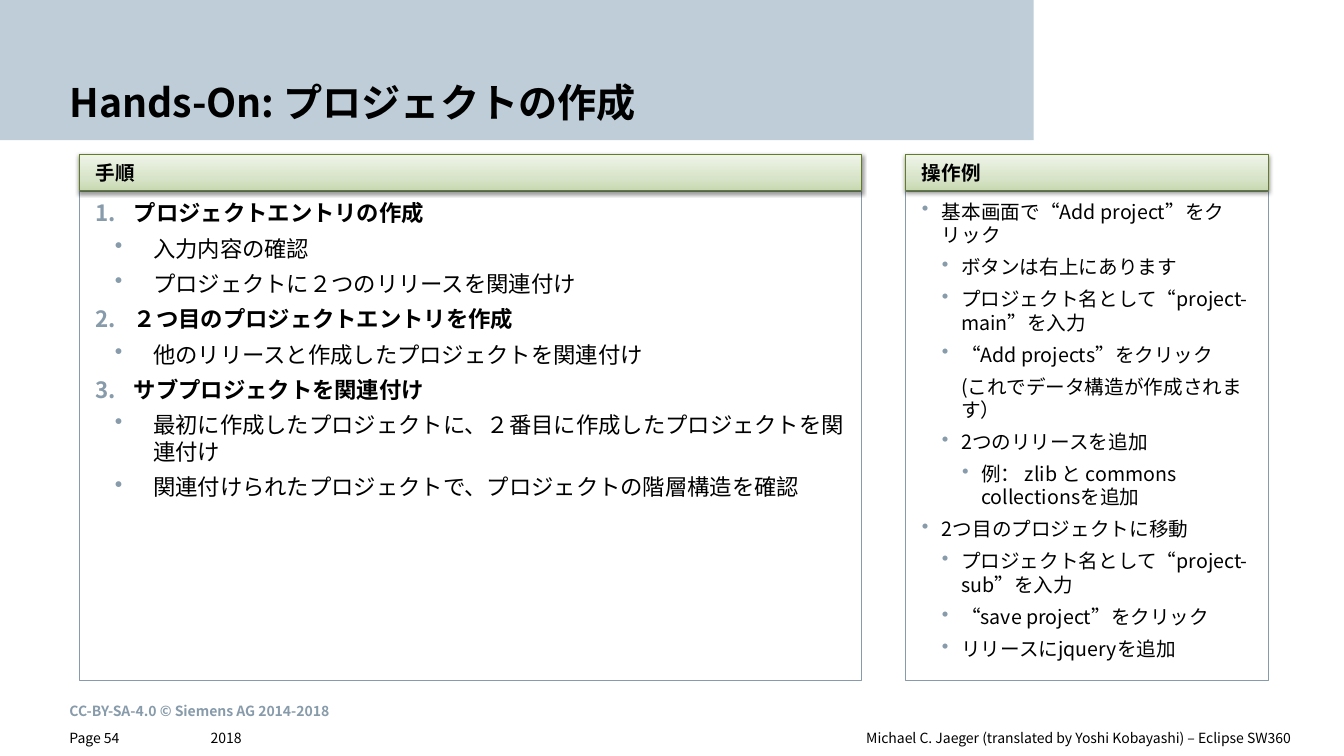
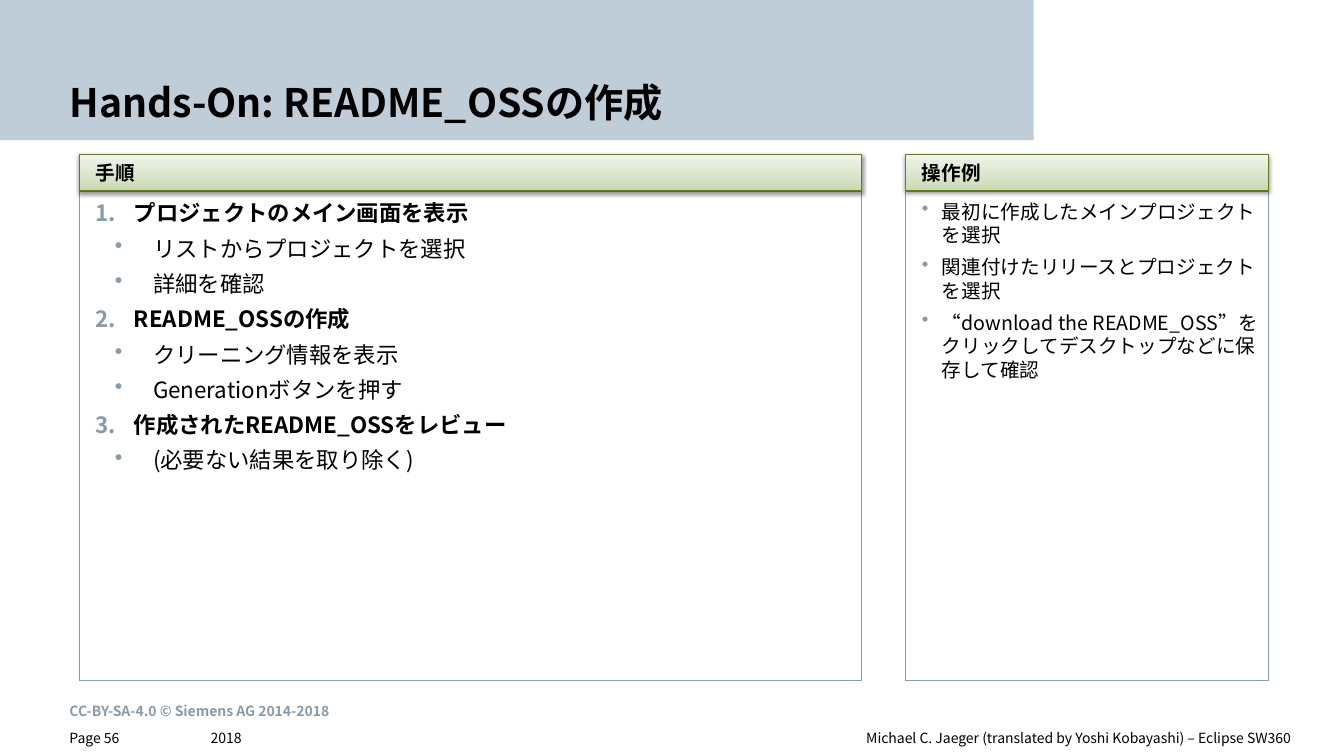
from dataclasses import dataclass

from lxml.etree import SubElement
from pptx import Presentation
from pptx.dml.color import RGBColor
from pptx.enum.shapes import MSO_SHAPE
from pptx.enum.text import MSO_ANCHOR, PP_ALIGN
from pptx.oxml import parse_xml
from pptx.oxml.ns import nsdecls, qn
from pptx.util import Inches, Pt


@dataclass(frozen=True)
class Theme:
    font: str = "Noto Sans CJK JP"
    ink: str = "000000"
    band: str = "BECDD7"
    accent: str = "879BAA"
    header_line: str = "637C2A"
    header_stops: tuple = ((0, "C8D9B1"), (35, "D8E4C9"), (100, "F0F5EA"))
    title_size: int = 28
    step_size: int = 16
    example_size: int = 14
    header_size: int = 14
    footer_size: int = 10


@dataclass(frozen=True)
class ListStyle:
    level: int
    margin: float
    hang: float
    size: int
    mark: str = "•"
    bold: bool = False


THEME = Theme()
NUMBERED = "1."
STEP = ListStyle(0, 0.38, 0.38, THEME.step_size, NUMBERED, True)
DETAIL = ListStyle(1, 0.57, 0.38, THEME.step_size)
ACTION = ListStyle(0, 0.2, 0.2, THEME.example_size)
SUB_ACTION = ListStyle(1, 0.39, 0.19, THEME.example_size)
REMARK = ListStyle(2, 0.39, 0, THEME.example_size, "")
SAMPLE = ListStyle(2, 0.59, 0.19, THEME.example_size)

SLIDE_WIDTH, SLIDE_HEIGHT = 13.34, 7.5
BAND_WIDTH, BAND_HEIGHT = 10.26, 1.39
MARGIN = 0.69
PANEL_TOP, PANEL_HEIGHT, HEADER_HEIGHT = 1.53, 5.22, 0.36
PANEL_INSETS = (0.16, 0.08, 0.08, 0.08)
STEPS_BOX = (0.79, PANEL_TOP, 7.76, PANEL_HEIGHT)
EXAMPLE_BOX = (8.99, PANEL_TOP, 3.6, PANEL_HEIGHT)
FOOTER_TOP, FOOTER_HEIGHT = 7.22, 0.28

SLIDES = [
    {
        "title": "Hands-On: プロジェクトの作成",
        "page": "Page 54",
        "steps": [
            (STEP, "プロジェクトエントリの作成"),
            (DETAIL, "入力内容の確認"),
            (DETAIL, "プロジェクトに２つのリリースを関連付け"),
            (STEP, "２つ目のプロジェクトエントリを作成"),
            (DETAIL, "他のリリースと作成したプロジェクトを関連付け"),
            (STEP, "サブプロジェクトを関連付け"),
            (DETAIL, "最初に作成したプロジェクトに、２番目に作成したプロジェクトを関連付け"),
            (DETAIL, "関連付けられたプロジェクトで、プロジェクトの階層構造を確認"),
        ],
        "example": [
            (ACTION, "基本画面で“Add project”をクリック"),
            (SUB_ACTION, "ボタンは右上にあります"),
            (SUB_ACTION, "プロジェクト名として“project-main”を入力"),
            (SUB_ACTION, "“Add projects”をクリック"),
            (REMARK, "(これでデータ構造が作成されます）"),
            (SUB_ACTION, "2つのリリースを追加"),
            (SAMPLE, "例： zlib と commons collectionsを追加"),
            (ACTION, "2つ目のプロジェクトに移動"),
            (SUB_ACTION, "プロジェクト名として“project-sub”を入力"),
            (SUB_ACTION, "“save project”をクリック"),
            (SUB_ACTION, "リリースにjqueryを追加"),
        ],
    },
    {
        "title": "Hands-On: README_OSSの作成",
        "page": "Page 56",
        "steps": [
            (STEP, "プロジェクトのメイン画面を表示"),
            (DETAIL, "リストからプロジェクトを選択"),
            (DETAIL, "詳細を確認"),
            (STEP, "README_OSSの作成"),
            (DETAIL, "クリーニング情報を表示"),
            (DETAIL, "Generationボタンを押す"),
            (STEP, "作成されたREADME_OSSをレビュー"),
            (DETAIL, "(必要ない結果を取り除く)"),
        ],
        "example": [
            (ACTION, "最初に作成したメインプロジェクトを選択"),
            (ACTION, "関連付けたリリースとプロジェクトを選択"),
            (ACTION, "“download the README_OSS”をクリックしてデスクトップなどに保存して確認"),
        ],
    },
]


def set_frame(frame, insets, anchor=MSO_ANCHOR.TOP):
    frame.word_wrap = True
    frame.vertical_anchor = anchor
    left, top, right, bottom = map(Inches, insets)
    frame.margin_left, frame.margin_top = left, top
    frame.margin_right, frame.margin_bottom = right, bottom


def write(para, text, size, bold=False, color=THEME.ink, align=PP_ALIGN.LEFT):
    para.text = text
    para.alignment = align
    for span in para.runs:
        span.font.size = Pt(size)
        span.font.bold = bold
        span.font.color.rgb = RGBColor.from_string(color)
        span.font.name = THEME.font
        SubElement(span.font._element, qn("a:ea"), typeface=THEME.font)


def add_label(page, box, insets, text, size, anchor=MSO_ANCHOR.TOP, spacing=None, **style):
    frame = page.shapes.add_textbox(*map(Inches, box)).text_frame
    set_frame(frame, insets, anchor)
    para = frame.paragraphs[0]
    write(para, text, size, **style)
    para.line_spacing = spacing


def add_rectangle(page, box):
    shape = page.shapes.add_shape(MSO_SHAPE.RECTANGLE, *map(Inches, box))
    shape.shadow.inherit = False
    return shape


def set_line(shape, color):
    shape.line.color.rgb = RGBColor.from_string(color)
    shape.line.width = Pt(0.75)


def set_bullet(para, style):
    properties = para._p.get_or_add_pPr()
    properties.set("marL", str(Inches(style.margin)))
    properties.set("indent", str(-Inches(style.hang)))
    if not style.mark:
        SubElement(properties, qn("a:buNone"))
        return
    color = SubElement(properties, qn("a:buClr"))
    SubElement(color, qn("a:srgbClr"), val=THEME.accent)
    if style.mark == NUMBERED:
        SubElement(properties, qn("a:buAutoNum"), type="arabicPeriod")
    else:
        SubElement(properties, qn("a:buChar"), char=style.mark)


def add_list(page, box, items):
    shape = add_rectangle(page, box)
    shape.fill.background()
    set_line(shape, THEME.accent)
    frame = shape.text_frame
    set_frame(frame, PANEL_INSETS)
    for index, (style, text) in enumerate(items):
        para = frame.add_paragraph() if index else frame.paragraphs[0]
        para.level = style.level
        set_bullet(para, style)
        para.space_before = Pt(6 if index else 0)
        write(para, text, style.size, style.bold)


def add_panel_header(page, box, text):
    shape = add_rectangle(page, box)
    stops = "".join(
        f'<a:gs pos="{position * 1000}"><a:srgbClr val="{color}"/></a:gs>'
        for position, color in THEME.header_stops
    )
    effects = shape._element.spPr.find(qn("a:effectLst"))
    effects.addprevious(parse_xml(
        f'<a:gradFill {nsdecls("a")} rotWithShape="1"><a:gsLst>{stops}</a:gsLst>'
        '<a:lin ang="16200000" scaled="0"/></a:gradFill>'
    ))
    effects.append(parse_xml(
        f'<a:outerShdw {nsdecls("a")} blurRad="{Pt(3.1)}" dist="{Pt(1.6)}" dir="5400000" '
        'rotWithShape="0"><a:srgbClr val="000000"><a:alpha val="38000"/></a:srgbClr>'
        '</a:outerShdw>'
    ))
    set_line(shape, THEME.header_line)
    set_frame(shape.text_frame, PANEL_INSETS, MSO_ANCHOR.MIDDLE)
    write(shape.text_frame.paragraphs[0], text, THEME.header_size, bold=True)


def add_panel(page, box, heading, items):
    left, top, width, height = box
    body_top = HEADER_HEIGHT + 0.01
    add_list(page, (left, top + body_top, width, height - body_top), items)
    add_panel_header(page, (left, top, width, HEADER_HEIGHT), heading)


def add_title_band(page, title):
    band = add_rectangle(page, (0, 0, BAND_WIDTH, BAND_HEIGHT))
    band.fill.solid()
    band.fill.fore_color.rgb = RGBColor.from_string(THEME.band)
    band.line.fill.background()
    add_label(page, (0, 0, SLIDE_WIDTH, BAND_HEIGHT), (MARGIN, 0.43, 2.32, 0.26),
              title, THEME.title_size, MSO_ANCHOR.BOTTOM, bold=True)


def add_footer(page, number):
    add_label(page, (0, 6.74, SLIDE_WIDTH, 0.47), (MARGIN, 0.16, 3.51, 0),
              "CC-BY-SA-4.0 © Siemens AG 2014-2018", THEME.footer_size,
              MSO_ANCHOR.MIDDLE, bold=True, color=THEME.accent)
    parts = [
        (0, 4.3, 2.09, 0, "2018", PP_ALIGN.LEFT),
        (0, 1.93, MARGIN, 0, number, PP_ALIGN.LEFT),
        (4.14, 9.2, 0, 0.53,
         "Michael C. Jaeger (translated by Yoshi Kobayashi) – Eclipse SW360", PP_ALIGN.RIGHT),
    ]
    for left, width, inset_left, inset_right, text, align in parts:
        add_label(page, (left, FOOTER_TOP, width, FOOTER_HEIGHT),
                  (inset_left, 0, inset_right, 0.13), text, THEME.footer_size,
                  spacing=1.1, align=align)


def add_hands_on_slide(deck, content):
    page = deck.slides.add_slide(deck.slide_layouts[6])
    add_title_band(page, content["title"])
    add_panel(page, STEPS_BOX, "手順", content["steps"])
    add_panel(page, EXAMPLE_BOX, "操作例", content["example"])
    add_footer(page, content["page"])


def main():
    deck = Presentation()
    deck.slide_width = Inches(SLIDE_WIDTH)
    deck.slide_height = Inches(SLIDE_HEIGHT)
    for content in SLIDES:
        add_hands_on_slide(deck, content)
    deck.save("out.pptx")


if __name__ == "__main__":
    main()
